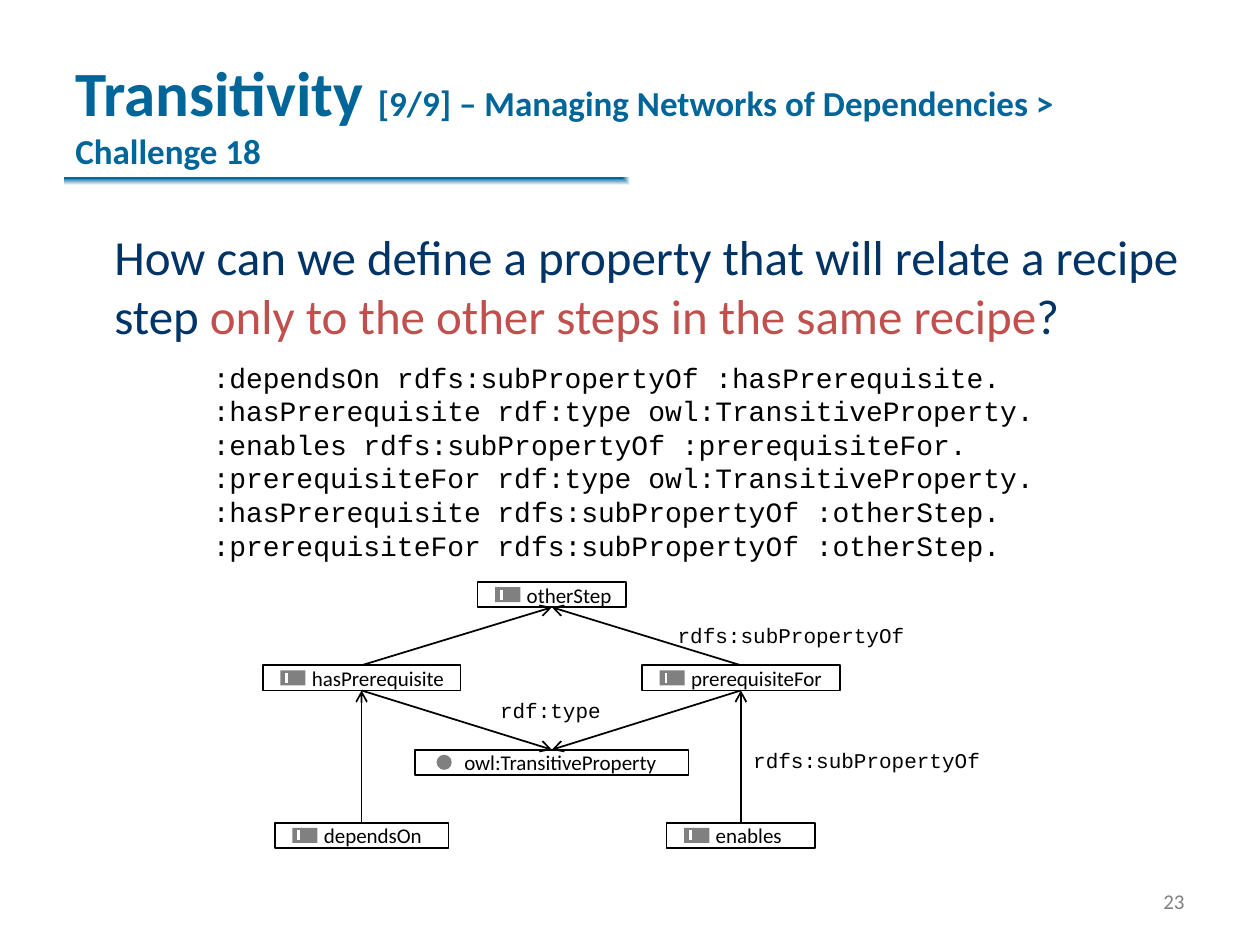
from dataclasses import dataclass

from lxml.etree import SubElement
from pptx import Presentation
from pptx.dml.color import RGBColor
from pptx.enum.shapes import MSO_CONNECTOR, MSO_SHAPE
from pptx.enum.text import MSO_ANCHOR, PP_ALIGN
from pptx.oxml import parse_xml
from pptx.oxml.ns import nsdecls, qn
from pptx.util import Inches, Pt


@dataclass(frozen=True)
class Theme:
    sans: str = "Calibri"
    mono: str = "Courier New"
    title: str = "006699"
    body: str = "003366"
    accent: str = "C0504D"
    ink: str = "000000"
    muted: str = "808080"
    paper: str = "FFFFFF"
    title_size: int = 36
    subtitle_size: int = 20
    body_size: int = 28
    code_size: int = 16
    small_size: int = 12


T = Theme()
WIDTH, HEIGHT = Inches(10), Inches(7.5)
COLS, ROWS = 10, 7.5
NODE_H = 0.2
LEFT, MID, RIGHT = 2.87, 4.38, 5.88
TOP, UPPER, LOWER, BOTTOM = 4.62, 5.28, 5.95, 6.53

CODE = """:dependsOn rdfs:subPropertyOf :hasPrerequisite.
:hasPrerequisite rdf:type owl:TransitiveProperty.
:enables rdfs:subPropertyOf :prerequisiteFor.
:prerequisiteFor rdf:type owl:TransitiveProperty.
:hasPrerequisite rdfs:subPropertyOf :otherStep.
:prerequisiteFor rdfs:subPropertyOf :otherStep."""

NODES = {
    "owl:TransitiveProperty": (MID, LOWER, 2.17),
    "prerequisiteFor": (RIGHT, UPPER, 1.57),
    "dependsOn": (LEFT, BOTTOM, 1.38),
    "enables": (RIGHT, BOTTOM, 1.18),
    "otherStep": (MID, TOP, 1.18),
    "hasPrerequisite": (LEFT, UPPER, 1.57),
}
EDGES = [
    ("dependsOn", "hasPrerequisite"),
    ("enables", "prerequisiteFor"),
    ("hasPrerequisite", "otherStep"),
    ("prerequisiteFor", "otherStep"),
    ("prerequisiteFor", "owl:TransitiveProperty"),
    ("hasPrerequisite", "owl:TransitiveProperty"),
]
LABELS = [
    ("rdfs:subPropertyOf", 5.28, 4.89, 2.03),
    ("rdf:type", 3.87, 5.49, 1.02),
    ("rdfs:subPropertyOf", 5.88, 5.88, 2.03),
]


def cols(n):
    return round(WIDTH * n / COLS)


def rows(n):
    return round(HEIGHT * n / ROWS)


def style(r, size, color, font=T.sans, bold=False):
    r.font.size, r.font.name, r.font.bold = Pt(size), font, bold
    r.font.color.rgb = RGBColor.from_string(color)


def add_text(slide, box, runs, font=T.sans, bold=False,
             anchor=MSO_ANCHOR.TOP, wrap=True):
    x, y, w, h = box
    tf = slide.shapes.add_textbox(cols(x), rows(y), cols(w), rows(h)).text_frame
    tf.word_wrap, tf.vertical_anchor = wrap, anchor
    p = tf.paragraphs[0]
    for text, size, color in runs:
        r = p.add_run()
        r.text = text
        style(r, size, color, font, bold)
    return p


def add_code(slide, box, text, size):
    x, y, w, h = box
    tf = slide.shapes.add_textbox(cols(x), rows(y), cols(w), rows(h)).text_frame
    tf.word_wrap = False
    tf.text = text
    for p in tf.paragraphs:
        style(p.runs[0], size, T.ink, T.mono)


def add_box(slide, kind, x, y, w, h, fill=None, line=None):
    sp = slide.shapes.add_shape(kind, cols(x), rows(y), cols(w), rows(h))
    sp.shadow.inherit = False
    if fill:
        sp.fill.solid()
        sp.fill.fore_color.rgb = RGBColor.from_string(fill)
    else:
        sp.fill.background()
    if line:
        sp.line.color.rgb = RGBColor.from_string(line)
        sp.line.width = Pt(1)
    else:
        sp.line.fill.background()
    return sp


def add_line(slide, x1, y1, x2, y2, color, width, arrow=False):
    cxn = slide.shapes.add_connector(
        MSO_CONNECTOR.STRAIGHT, cols(x1), rows(y1), cols(x2), rows(y2))
    cxn.line.color.rgb = RGBColor.from_string(color)
    cxn.line.width = Pt(width)
    if arrow:
        SubElement(cxn.line._get_or_add_ln(), qn("a:tailEnd"), type="arrow")
    SubElement(cxn._element.spPr, qn("a:effectLst"))


def add_rule(slide):
    sp = add_box(slide, MSO_SHAPE.RECTANGLE, 0.51, 1.41, 8.98, 0.12)
    spPr = sp._element.spPr
    spPr.replace(spPr.find(qn("a:noFill")), parse_xml(
        f'<a:gradFill {nsdecls("a")} rotWithShape="1"><a:gsLst>'
        f'<a:gs pos="0"><a:srgbClr val="{T.title}"/></a:gs>'
        f'<a:gs pos="100000"><a:srgbClr val="{T.paper}"/></a:gs></a:gsLst>'
        '<a:path path="rect"><a:fillToRect r="100000" b="100000"/></a:path>'
        '</a:gradFill>'))


def add_node(slide, name, center, y, w):
    x = center - w / 2
    sp = add_box(slide, MSO_SHAPE.RECTANGLE, x, y, w, NODE_H, line=T.ink)
    tf = sp.text_frame
    tf.margin_left = cols(0.39)
    tf.vertical_anchor = MSO_ANCHOR.MIDDLE
    tf.text = name
    p = tf.paragraphs[0]
    p.alignment = PP_ALIGN.LEFT
    style(p.runs[0], T.small_size, T.ink)
    if name.startswith("owl:"):
        add_box(slide, MSO_SHAPE.OVAL, x + 0.17, y + 0.04, 0.12, 0.12, T.muted)
    else:
        add_box(slide, MSO_SHAPE.RECTANGLE, x + 0.14, y + 0.04, 0.2, 0.12, T.muted)
        add_line(slide, x + 0.19, y + 0.06, x + 0.19, y + 0.14, T.paper, 1.5)


def add_edge(slide, source, target):
    x1, y1, _ = NODES[source]
    x2, y2, _ = NODES[target]
    if y1 > y2:
        y2 += NODE_H
    else:
        y1 += NODE_H
    add_line(slide, x1, y1, x2, y2, T.ink, 1, arrow=True)


def main():
    prs = Presentation()
    prs.slide_width, prs.slide_height = WIDTH, HEIGHT
    slide = prs.slides.add_slide(prs.slide_layouts[6])

    add_rule(slide)
    add_text(slide, (0.5, 0, 9, 1.41), [
        ("Transitivity ", T.title_size, T.title),
        ("[9/9] – Managing Networks of Dependencies > Challenge 18",
         T.subtitle_size, T.title),
    ], bold=True, anchor=MSO_ANCHOR.BOTTOM)
    p = add_text(slide, (0.5, 1.75, 9, 4.95), [
        ("\tHow can we define a property that will relate a recipe step ",
         T.body_size, T.body),
        ("only to the other steps in the same recipe", T.body_size, T.accent),
        ("?", T.body_size, T.body),
    ])
    pPr = p._p.get_or_add_pPr()
    pPr.set("marL", str(cols(0.31)))
    pPr.set("indent", str(-cols(0.28)))
    p = add_text(slide, (8.98, 6.95, 0.52, 0.4),
                 [("23", T.small_size, T.muted)], anchor=MSO_ANCHOR.MIDDLE)
    p.alignment = PP_ALIGN.RIGHT

    add_code(slide, (1.59, 2.81, 6.82, 1.72), CODE, T.code_size)
    for name, place in NODES.items():
        add_node(slide, name, *place)
    for source, target in EDGES:
        add_edge(slide, source, target)
    for text, x, y, w in LABELS:
        add_code(slide, (x, y, w, 0.3), text, T.small_size)

    prs.save("out.pptx")


if __name__ == "__main__":
    main()
